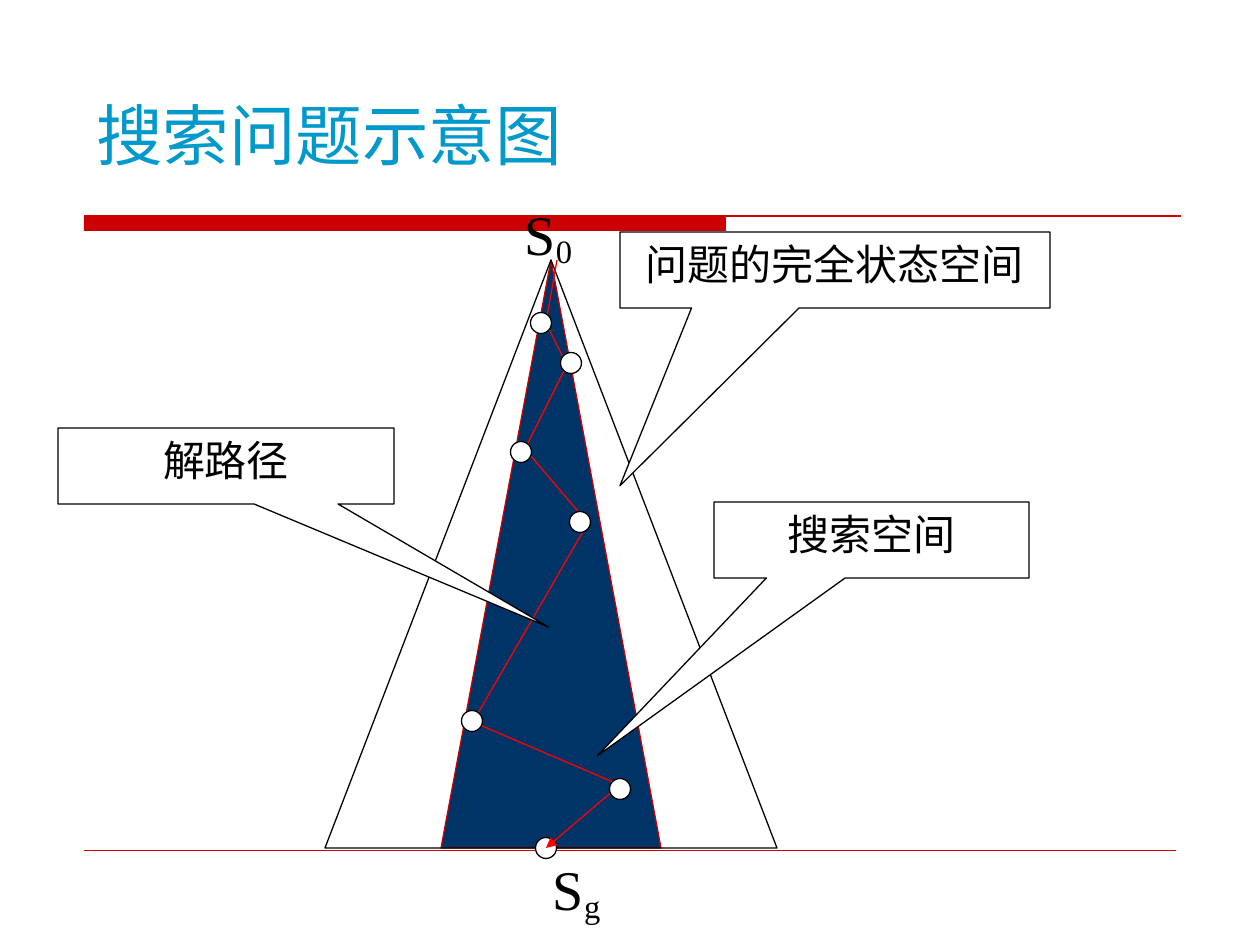
from lxml import etree
from pptx import Presentation
from pptx.dml.color import RGBColor
from pptx.enum.shapes import MSO_CONNECTOR, MSO_SHAPE
from pptx.enum.text import MSO_ANCHOR, PP_ALIGN
from pptx.oxml.ns import qn
from pptx.util import Inches, Pt

PX = Inches(1) / 126

BLACK = RGBColor(0x00, 0x00, 0x00)
WHITE = RGBColor(0xFF, 0xFF, 0xFF)
NAVY = RGBColor(0x00, 0x33, 0x66)
CRIMSON = RGBColor(0xCC, 0x00, 0x00)
RED = RGBColor(0xFF, 0x00, 0x00)
TITLE_BLUE = RGBColor(0x00, 0x99, 0xCC)

NODE_SIZE = 21
# Positions relative to the top left corner of the state space triangle
PATH_POINTS = [(232, 0), (221, 63), (242, 105), (200, 189),
               (263, 263), (148, 462), (295, 525), (221, 588)]
GOAL_NODE = (221, 588)
PATH_NODES = [(216, 63), (246, 103), (196, 192), (255, 262), (147, 461), (295, 529)]

# Text, box, tip of the pointer as a share of the box size from its centre
CALLOUTS = [
    ("问题的完全状态空间", (620, 232, 430, 76), (-0.5, 2.84)),
    ("搜索空间", (714, 502, 315, 76), (-0.87, 2.84)),
    ("解路径", (58, 428, 336, 76), (0.96, 2.12)),
]


def emu(*lengths):
    return [round(length * PX) for length in lengths]


def style(shape, fill, line):
    shape.shadow.inherit = False
    if fill is None:
        shape.fill.background()
    else:
        shape.fill.solid()
        shape.fill.fore_color.rgb = fill
    if line is None:
        shape.line.fill.background()
    else:
        shape.line.color.rgb = line
        shape.line.width = Pt(0.75)


def add_preset(slide, preset, box, fill, line):
    shape = slide.shapes.add_shape(preset, *emu(*box))
    style(shape, fill, line)
    return shape


def add_rule(slide, left, right, y, width):
    rule = slide.shapes.add_connector(MSO_CONNECTOR.STRAIGHT, *emu(left, y, right, y))
    rule.line.color.rgb = CRIMSON
    rule.line.width = Pt(width)
    etree.SubElement(rule._element.spPr, qn("a:effectLst"))


def set_font(paragraph, name, size, color):
    paragraph.font.name = name
    paragraph.font.size = Pt(size)
    paragraph.font.color.rgb = color


def add_text_box(slide, box, anchor):
    """Add an empty wrapping text box and return its first paragraph."""
    frame = slide.shapes.add_textbox(*emu(*box)).text_frame
    frame.word_wrap = True
    frame.vertical_anchor = anchor
    return frame.paragraphs[0]


def add_header(slide, box):
    left, top, width, height = box
    bar_top = top + 130
    add_preset(slide, MSO_SHAPE.RECTANGLE, (left, bar_top, 642, 15), CRIMSON, None)
    add_rule(slide, left, left + width, bar_top, 0.75)
    paragraph = add_text_box(slide, (left, top, 833, height), MSO_ANCHOR.BOTTOM)
    paragraph.text = "搜索问题示意图"
    set_font(paragraph, "DejaVu Sans", 38, TITLE_BLUE)


def add_state_label(slide, box, subscript):
    paragraph = add_text_box(slide, box, MSO_ANCHOR.MIDDLE)
    paragraph.alignment = PP_ALIGN.CENTER
    paragraph.add_run().text = "S"
    run = paragraph.add_run()
    run.text = subscript
    run._r.get_or_add_rPr().set("baseline", "-15000")
    set_font(paragraph, "Times New Roman", 32, BLACK)


def add_node(slide, x, y):
    """Add a node centred on the given point."""
    box = (x - NODE_SIZE / 2, y - NODE_SIZE / 2, NODE_SIZE, NODE_SIZE)
    add_preset(slide, MSO_SHAPE.OVAL, box, WHITE, BLACK)


def add_solution_path(slide, points):
    start, *rest = points
    builder = slide.shapes.build_freeform(*start, scale=PX)
    builder.add_line_segments(rest, close=False)
    route = builder.convert_to_shape()
    style(route, None, RED)
    etree.SubElement(route.line._get_or_add_ln(), qn("a:tailEnd"), type="triangle")


def add_search_diagram(slide, box):
    left, top, width, height = box
    triangle = MSO_SHAPE.ISOSCELES_TRIANGLE
    add_preset(slide, triangle, (left + 116, top, 220, height), NAVY, CRIMSON)
    add_preset(slide, triangle, box, None, BLACK)
    add_state_label(slide, (left + 160, top - 67, 127, 84), "0")
    add_node(slide, left + GOAL_NODE[0], top + GOAL_NODE[1])
    add_state_label(slide, (left + 198, top + height, 107, 84), "g")
    add_solution_path(slide, [(left + x, top + y) for x, y in PATH_POINTS])
    for x, y in PATH_NODES:
        add_node(slide, left + x, top + y)


def add_callout(slide, text, box, tip):
    callout = add_preset(slide, MSO_SHAPE.RECTANGULAR_CALLOUT, box, WHITE, BLACK)
    callout.adjustments[0], callout.adjustments[1] = tip
    frame = callout.text_frame
    frame.word_wrap = True
    frame.vertical_anchor = MSO_ANCHOR.TOP
    paragraph = frame.paragraphs[0]
    paragraph.text = text
    paragraph.alignment = PP_ALIGN.CENTER
    set_font(paragraph, "Arial Narrow", 24, BLACK)


def main():
    presentation = Presentation()
    presentation.slide_width = Inches(10)
    presentation.slide_height = Inches(7.5)
    slide = presentation.slides.add_slide(presentation.slide_layouts[6])
    add_header(slide, (84, 86, 1097, 94))
    add_rule(slide, 84, 1176, 850, 0.25)
    add_search_diagram(slide, (325, 260, 452, 588))
    for text, box, tip in CALLOUTS:
        add_callout(slide, text, box, tip)
    presentation.save("out.pptx")


if __name__ == "__main__":
    main()
